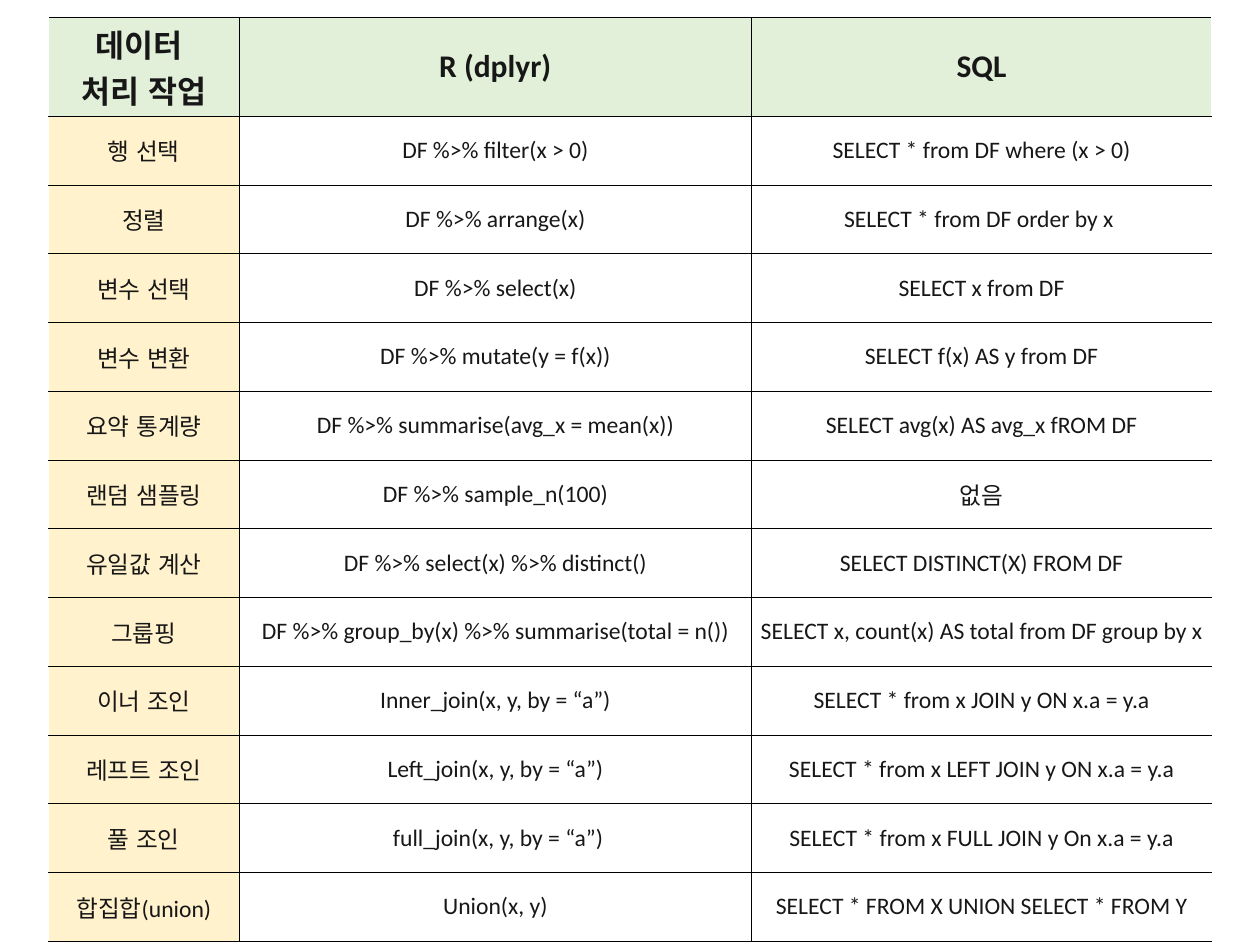
import pptx
import pptx.util
import pptx.dml.color
import pptx.enum.lang
import pptx.enum.text
import pptx.oxml.ns
import lxml.etree

THEME = {
    "font": "Calibri", "header_size": 32, "body_size": 24, "line_width": 1,
    "text": "181717", "header_fill": "E2F0D9", "task_fill": "FFF2CC",
    "line": "000000", "edge": "FFFFFF",
}
ROWS = [
    ("데이터 \n처리 작업", "R (dplyr)", "SQL"),
    ("행 선택", "DF %>% filter(x > 0)", "SELECT * from DF where (x > 0)"),
    ("정렬", "DF %>% arrange(x)", "SELECT * from DF order by x "),
    ("변수 선택", "DF %>% select(x)", "SELECT x from DF"),
    ("변수 변환", "DF %>% mutate(y = f(x))", "SELECT f(x) AS y from DF"),
    ("요약 통계량", "DF %>% summarise(avg_x = mean(x))", "SELECT avg(x) AS avg_x fROM DF"),
    ("랜덤 샘플링", "DF %>% sample_n(100)", "없음"),
    ("유일값 계산", "DF %>% select(x) %>% distinct()", "SELECT DISTINCT(X) FROM DF"),
    ("그룹핑", "DF %>% group_by(x) %>% summarise(total = n())", "SELECT x, count(x) AS total from DF group by x"),
    ("이너 조인", "Inner_join(x, y, by = “a”)", "SELECT * from x JOIN y ON x.a = y.a"),
    ("레프트 조인", "Left_join(x, y, by = “a”)", "SELECT * from x LEFT JOIN y ON x.a = y.a"),
    ("풀 조인", " full_join(x, y, by = “a”)", "SELECT * from x FULL JOIN y On x.a = y.a"),
    ("합집합(union)", "Union(x, y)", "SELECT * FROM X UNION SELECT * FROM Y"),
]
COL_WIDTHS = [2.7, 7.22, 6.5]
ROW_HEIGHTS = [0.69] + [0.97] * (len(ROWS) - 1)


def add_border(cell, side, color):
    qn = pptx.oxml.ns.qn
    tcPr = cell._tc.get_or_add_tcPr()
    width = pptx.util.Pt(THEME["line_width"])
    ln = lxml.etree.SubElement(tcPr, qn("a:ln" + side), w=str(int(width)))
    fill = lxml.etree.SubElement(ln, qn("a:solidFill"))
    lxml.etree.SubElement(fill, qn("a:srgbClr"), val=color)


prs = pptx.Presentation()
prs.slide_width = pptx.util.Inches(17.78)
prs.slide_height = pptx.util.Inches(13.33)
s = prs.slides.add_slide(prs.slide_layouts[6])

frame = s.shapes.add_table(
    len(ROWS), len(COL_WIDTHS),
    pptx.util.Inches(0.68), pptx.util.Inches(0.25),
    pptx.util.Inches(sum(COL_WIDTHS)), pptx.util.Inches(sum(ROW_HEIGHTS)),
)
table = frame.table
table.first_row = False
table.horz_banding = False
for column, width in zip(table.columns, COL_WIDTHS):
    column.width = pptx.util.Inches(width)
for row, height in zip(table.rows, ROW_HEIGHTS):
    row.height = pptx.util.Inches(height)

for i, texts in enumerate(ROWS):
    for j, text in enumerate(texts):
        cell = table.cell(i, j)
        header, first, last = i == 0, j == 0, j == len(texts) - 1
        add_border(cell, "L", THEME["edge" if first else "line"])
        add_border(cell, "R", THEME["edge" if last else "line"])
        add_border(cell, "T", THEME["line"])
        add_border(cell, "B", THEME["line"])
        if header or first:
            cell.fill.solid()
            fill = THEME["header_fill" if header else "task_fill"]
            cell.fill.fore_color.rgb = pptx.dml.color.RGBColor.from_string(fill)
        else:
            cell.fill.background()
        cell.vertical_anchor = pptx.enum.text.MSO_ANCHOR.MIDDLE
        tf = cell.text_frame
        for n, line in enumerate(text.split("\n")):
            p = tf.add_paragraph() if n else tf.paragraphs[0]
            p.alignment = pptx.enum.text.PP_ALIGN.CENTER
            r = p.add_run()
            r.text = line
            r.font.name = THEME["font"]
            r.font.size = pptx.util.Pt(THEME["header_size" if header else "body_size"])
            r.font.bold = header
            r.font.color.rgb = pptx.dml.color.RGBColor.from_string(THEME["text"])
            r.font.language_id = pptx.enum.lang.MSO_LANGUAGE_ID.KOREAN

prs.save("out.pptx")
